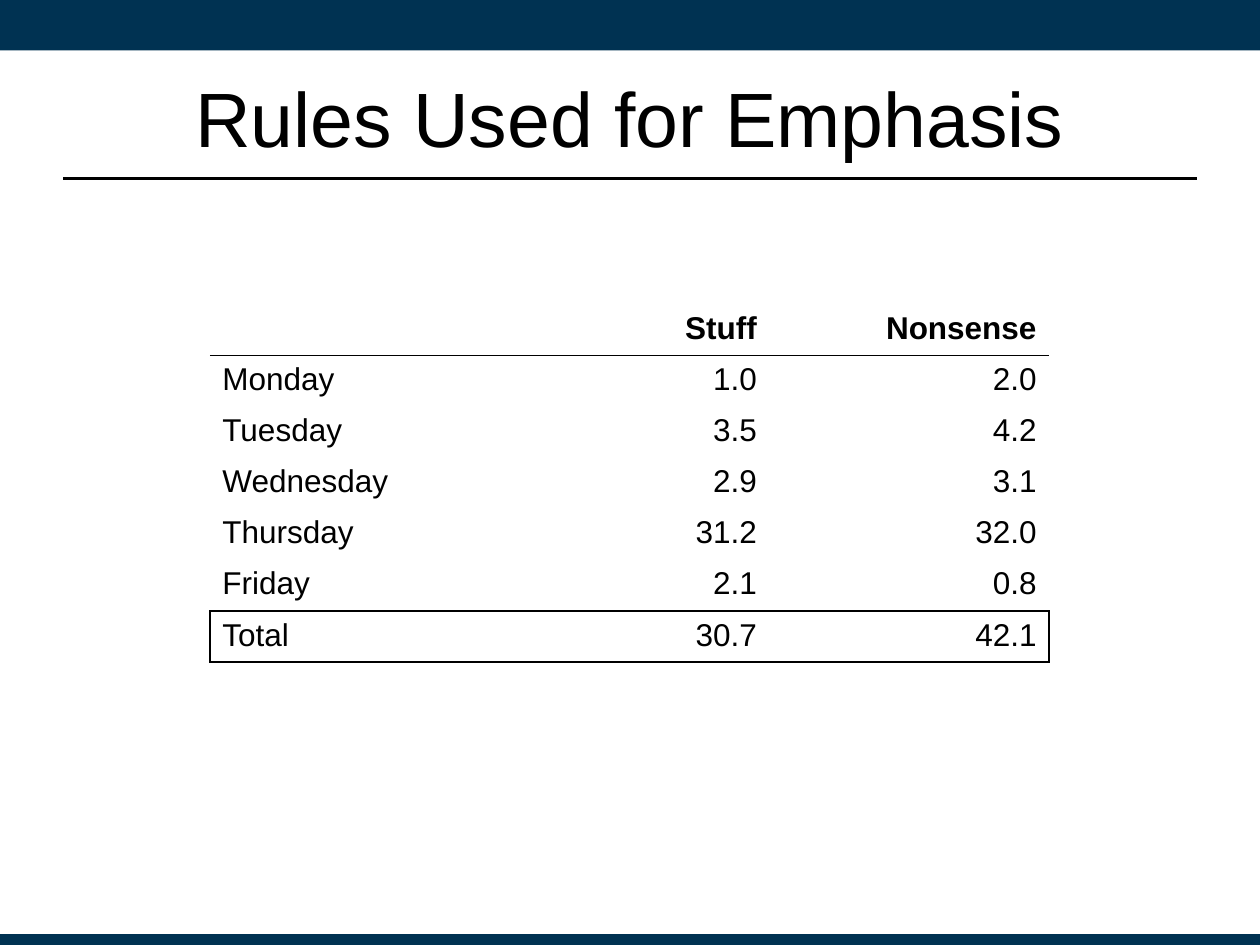
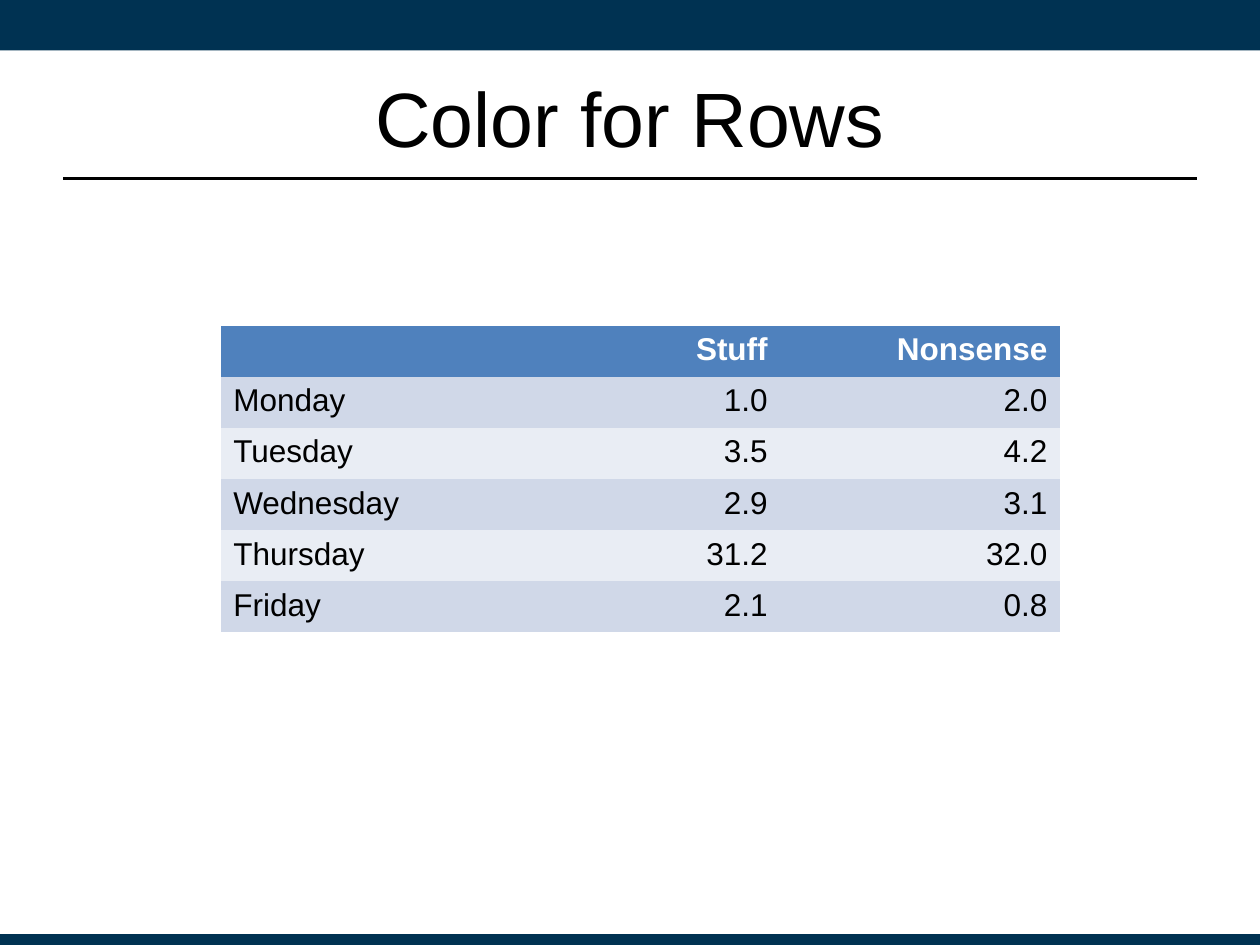
from lxml.etree import SubElement
from pptx import Presentation
from pptx.dml.color import RGBColor
from pptx.enum.shapes import MSO_CONNECTOR, MSO_SHAPE
from pptx.enum.text import MSO_ANCHOR, MSO_AUTO_SIZE, PP_ALIGN
from pptx.oxml import parse_xml
from pptx.oxml.ns import nsdecls, qn
from pptx.util import Cm, Pt

NAVY, BLACK, WHITE = "003252", "000000", "FFFFFF"
BLUE, BAND_DARK, BAND_LIGHT = "4F81BD", "D0D8E8", "E9EDF4"
FONT = "Arial"
SLIDE_W, SLIDE_H = 25.4, 19.05
MARGIN = 1.27
COL_W, ROW_H = 5.64, 1.03

HEADER = ("", "Stuff", "Nonsense")
DAYS = [
    ("Monday", "1.0", "2.0"),
    ("Tuesday", "3.5", "4.2"),
    ("Wednesday", "2.9", "3.1"),
    ("Thursday", "31.2", "32.0"),
    ("Friday", "2.1", "0.8"),
]
TOTAL = ("Total", "30.7", "42.1")


def rgb(value):
    return RGBColor.from_string(value)


def style_text(p, size, color, bold, align):
    p.alignment = align
    for r in p.runs:
        r.font.name = FONT
        r.font.size = Pt(size)
        r.font.bold = bold
        r.font.color.rgb = rgb(color)


def add_band(s, top, height):
    sp = s.shapes.add_shape(MSO_SHAPE.RECTANGLE, 0, Cm(top), Cm(SLIDE_W), Cm(height))
    sp.shadow.inherit = False
    sp.fill.solid()
    sp.fill.fore_color.rgb = rgb(NAVY)
    sp.line.fill.background()


def add_title_rule(s, y):
    rule = s.shapes.add_connector(
        MSO_CONNECTOR.STRAIGHT, Cm(MARGIN), Cm(y), Cm(SLIDE_W - MARGIN), Cm(y))
    rule.line.color.rgb = rgb(BLACK)
    rule.line.width = Pt(1.25)
    SubElement(rule.element.spPr, qn("a:effectLst"))


def add_titled_slide(prs, text):
    s = prs.slides.add_slide(prs.slide_layouts[5])
    add_band(s, 0, 1.02)
    add_band(s, 18.83, 0.22)
    add_title_rule(s, 3.6)
    title = s.shapes.title
    s.shapes.element.append(title.element)
    title.left, title.top = Cm(MARGIN), Cm(0.76)
    title.width, title.height = Cm(SLIDE_W - 2 * MARGIN), Cm(3.18)
    tf = title.text_frame
    tf.text = text
    tf.auto_size = MSO_AUTO_SIZE.NONE
    tf.vertical_anchor = MSO_ANCHOR.MIDDLE
    style_text(tf.paragraphs[0], 44, BLACK, False, PP_ALIGN.CENTER)
    return s


def set_borders(cell, ruled_sides):
    tc_pr = cell._tc.get_or_add_tcPr()
    for i, side in enumerate("LRTB"):
        paint = (f'<a:solidFill><a:srgbClr val="{BLACK}"/></a:solidFill>'
                 if side in ruled_sides else "<a:noFill/>")
        tc_pr.insert(i, parse_xml(
            f'<a:ln{side} {nsdecls("a")} w="{Pt(1)}">{paint}</a:ln{side}>'))


def add_day_table(s, left, top, rows, row_fills, header_color, ruled_sides):
    cols = len(HEADER)
    table = s.shapes.add_table(
        len(rows), cols, Cm(left), Cm(top),
        Cm(cols * COL_W), Cm(len(rows) * ROW_H)).table
    table.first_row = table.horz_banding = False
    for column in table.columns:
        column.width = Cm(COL_W)
    for i, (values, fill) in enumerate(zip(rows, row_fills)):
        table.rows[i].height = Cm(ROW_H)
        for j, value in enumerate(values):
            cell = table.cell(i, j)
            cell.text = value
            cell.fill.solid()
            cell.fill.fore_color.rgb = rgb(fill)
            style_text(cell.text_frame.paragraphs[0], 18,
                       header_color if i == 0 else BLACK, i == 0,
                       PP_ALIGN.RIGHT if j else PP_ALIGN.LEFT)
            set_borders(cell, ruled_sides(i, j))


def emphasis_sides(i, j):
    total = len(DAYS) + 1
    if i == total:
        return "TB" + {0: "L", len(HEADER) - 1: "R"}.get(j, "")
    return {0: "B", 1: "T", total - 1: "B"}.get(i, "")


def build_emphasis_slide(prs):
    s = add_titled_slide(prs, "Rules Used for Emphasis")
    rows = [HEADER, *DAYS, TOTAL]
    add_day_table(s, 4.23, 6.14, rows, [WHITE] * len(rows), BLACK, emphasis_sides)


def build_color_slide(prs):
    s = add_titled_slide(prs, "Color for Rows")
    bands = [(BAND_DARK, BAND_LIGHT)[i % 2] for i in range(len(DAYS))]
    add_day_table(s, 4.45, 6.57, [HEADER, *DAYS], [BLUE, *bands], WHITE,
                  lambda i, j: "")


def main():
    prs = Presentation()
    prs.slide_width, prs.slide_height = Cm(SLIDE_W), Cm(SLIDE_H)
    build_emphasis_slide(prs)
    build_color_slide(prs)
    prs.save("out.pptx")


if __name__ == "__main__":
    main()
